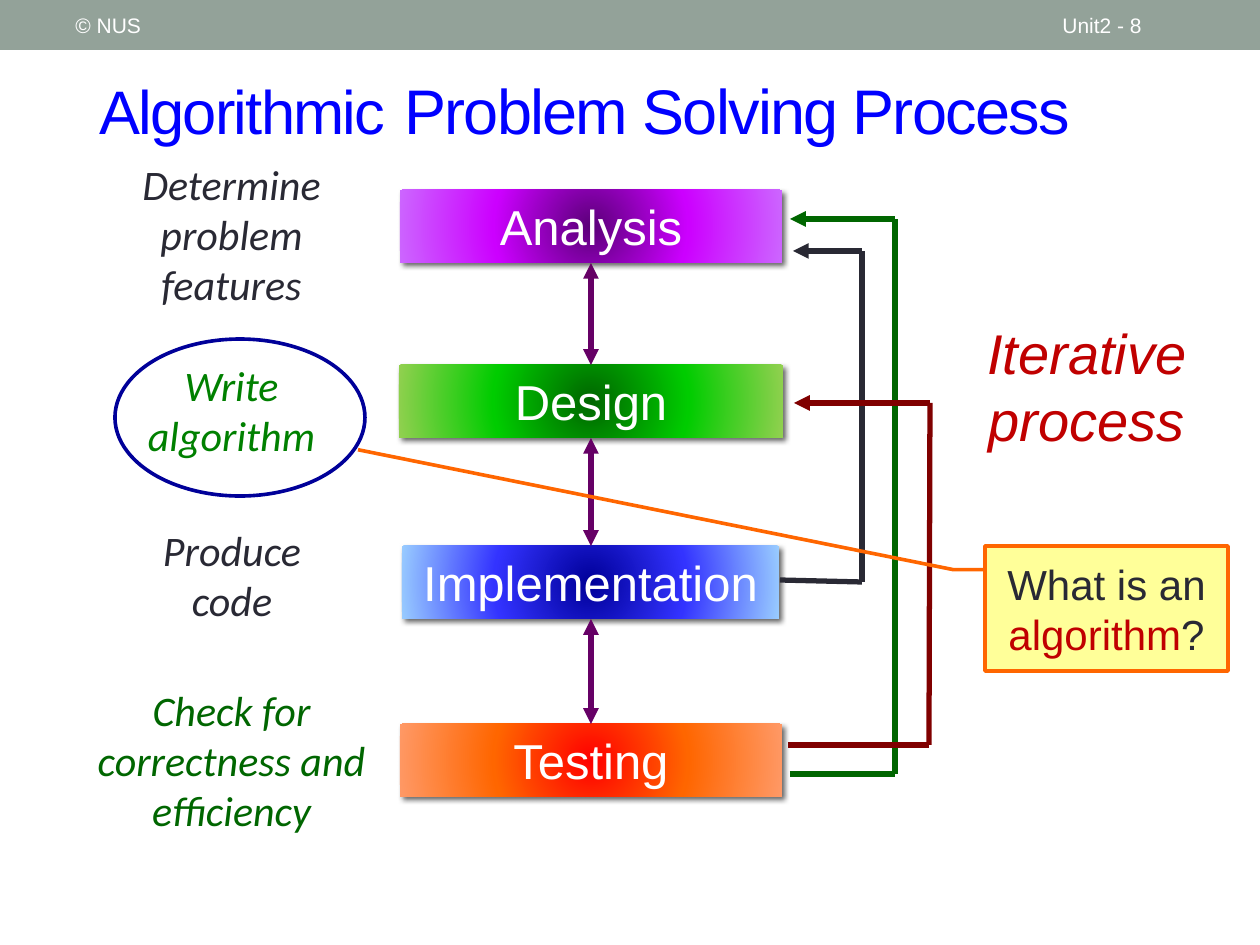
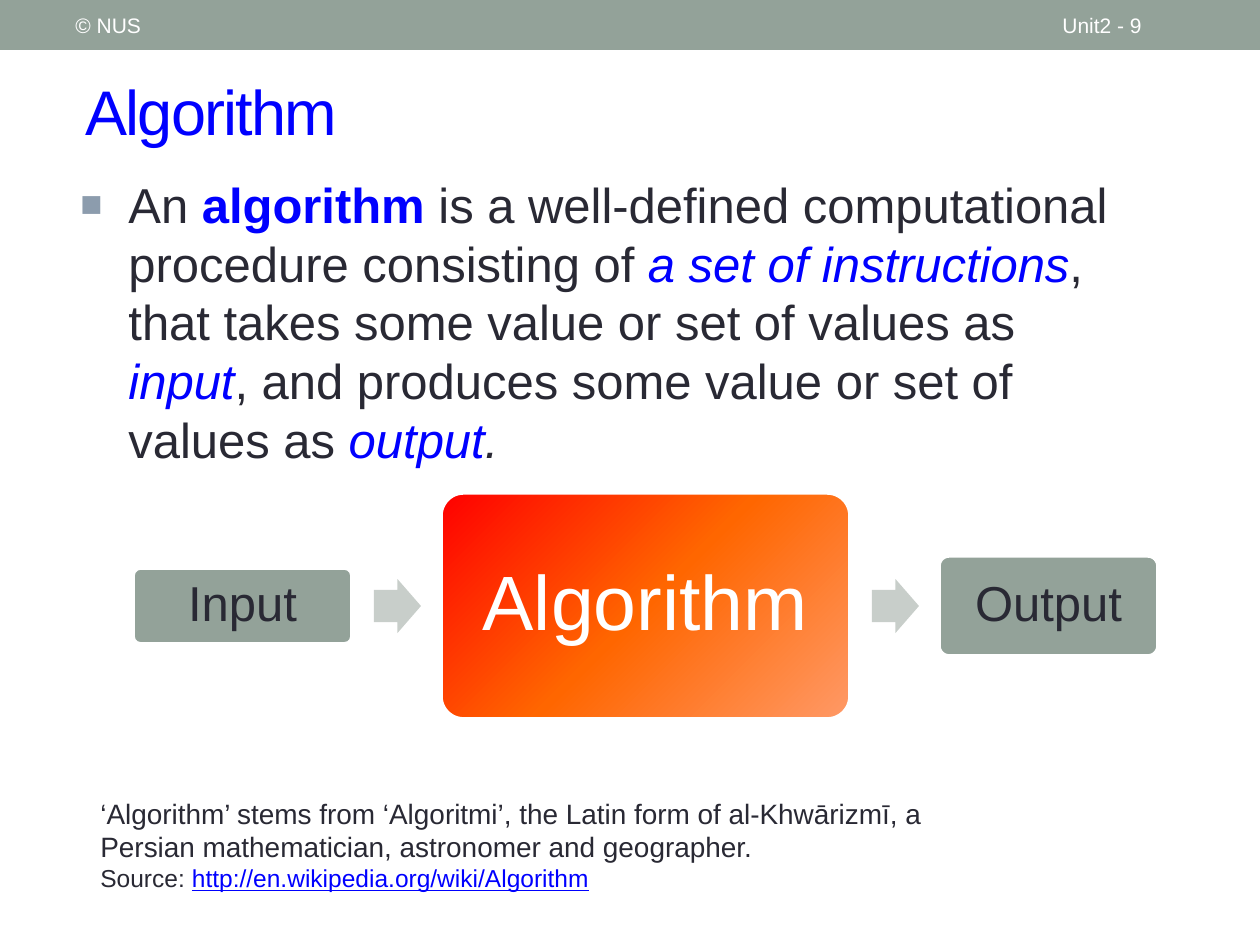
from dataclasses import dataclass
from itertools import pairwise

from lxml.etree import SubElement
from pptx import Presentation
from pptx.dml.color import RGBColor
from pptx.enum.shapes import MSO_CONNECTOR, MSO_SHAPE
from pptx.enum.text import MSO_ANCHOR, PP_ALIGN
from pptx.oxml import parse_xml
from pptx.oxml.ns import nsdecls, qn
from pptx.util import Emu, Pt

PX = 914400 / 126


@dataclass(frozen=True)
class Theme:
    band: str = "93A299"
    arrow: str = "C8CECA"
    ink: str = "292934"
    white: str = "FFFFFF"
    blue: str = "0000FF"
    navy: str = "000099"
    red: str = "C00000"
    green: str = "006600"
    leaf: str = "008000"
    maroon: str = "800000"
    purple: str = "660066"
    orange: str = "FF6600"
    yellow: str = "FFFF99"
    bullet: str = "8C9CAD"
    fire: tuple = ("FF0000", "FF6600", "FF9966")
    title: int = 36
    hero: int = 44
    large: int = 32
    body: int = 28
    note: int = 24
    footnote: int = 16
    source: int = 14
    header: int = 12
    font: str = "Arial"
    note_font: str = "Calibri"


T = Theme()


def add_box(s, at, paragraphs=(), size=T.body, kind=None, fill=None, line=None,
            align=PP_ALIGN.LEFT, anchor=MSO_ANCHOR.MIDDLE, font=T.font, spc=None):
    """Add a text box or a preset shape; a run is (text, colour, b/i/u flags)."""
    place = [Emu(round(n * PX)) for n in at]
    if kind is None:
        sp = s.shapes.add_textbox(*place)
    else:
        sp = s.shapes.add_shape(kind, *place)
        sp.shadow.inherit = False
        sp.fill.background()
        sp.line.fill.background()
    if fill:
        sp.fill.solid()
        sp.fill.fore_color.rgb = RGBColor.from_string(fill)
    if line:
        sp.line.color.rgb = RGBColor.from_string(line)
        sp.line.width = Pt(2.08)
    tf = sp.text_frame
    tf.word_wrap = True
    tf.vertical_anchor = anchor
    for i, runs in enumerate(paragraphs):
        p = tf.add_paragraph() if i else tf.paragraphs[0]
        p.alignment = align
        for text, colour, *flags in runs:
            r = p.add_run()
            r.text = text
            r.font.name = font
            r.font.size = Pt(size)
            r.font.color.rgb = RGBColor.from_string(colour)
            for flag in flags:
                setattr(r.font, flag, True)
            if spc is not None:
                r.font._element.set("spc", str(spc))
    return sp


def set_gradient(sp, colours, direction):
    """Fill a shape with three evenly spaced colours along the given direction."""
    stops = "".join(f'<a:gs pos="{i * 50000}"><a:srgbClr val="{c}"/></a:gs>'
                    for i, c in enumerate(colours))
    sp.fill.background()
    old = sp._element.spPr.find(qn("a:noFill"))
    old.getparent().replace(old, parse_xml(
        f'<a:gradFill {nsdecls("a")} rotWithShape="1"><a:gsLst>{stops}</a:gsLst>{direction}</a:gradFill>'))


FROM_CENTRE = '<a:path path="circle"><a:fillToRect l="50000" t="50000" r="50000" b="50000"/></a:path>'
DIAGONAL = '<a:lin ang="2700000" scaled="0"/>'

prs = Presentation()
prs.slide_width = Emu(round(1260 * PX))
prs.slide_height = Emu(round(945 * PX))

# Shared header band and titles
slides = []
for number, title, title_at in ((8, "Problem Solving Process", (392, 62, 771, 94)),
                                (9, "Algorithm", (73, 63, 1124, 94))):
    s = prs.slides.add_slide(prs.slide_layouts[6])
    add_box(s, (0, 0, 1260, 50), kind=MSO_SHAPE.RECTANGLE, fill=T.band)
    add_box(s, (63, 3, 399, 45), [[("© NUS", T.white)]], T.header)
    add_box(s, (1050, 3, 147, 45), [[(f"Unit2 - {number}", T.white)]], T.header)
    add_box(s, title_at, [[(title, T.blue)]], T.title, spc=-100)
    slides.append(s)
process, definition = slides

# Process: title prefix
add_box(process, (87, 63, 411, 94), [[("Algorithmic", T.blue)]], 35.1, spc=-100)

# Process: stages
STAGE_H = 73
stages = (
    ("Analysis", 400, 190, 382, ("5B0079", "CC00FF", "CC66FF")),
    ("Design", 399, 365, 384, ("006600", "00CC00", "92D050")),
    ("Implementation", 402, 546, 377, ("000099", "3333FF", "99CCFF")),
    ("Testing", 400, 724, 382, T.fire),
)
for name, left, top, width, colours in stages:
    sp = add_box(process, (left, top, width, STAGE_H), [[(name, T.white)]],
                 kind=MSO_SHAPE.RECTANGLE, align=PP_ALIGN.CENTER, anchor=MSO_ANCHOR.TOP)
    set_gradient(sp, colours, FROM_CENTRE)
    effects = sp._element.spPr.find(qn("a:effectLst"))
    effects.append(parse_xml(
        f'<a:outerShdw {nsdecls("a")} blurRad="38100" dist="25400" dir="2700000">'
        '<a:srgbClr val="000000"><a:alpha val="60000"/></a:srgbClr></a:outerShdw>'))

# Process: links between stages and feedback routes
links = [(T.purple, True, ((591, a[2] + STAGE_H), (591, b[2]))) for a, b in pairwise(stages)]
routes = [
    (T.ink, False, ((780, 580), (862, 582), (862, 251), (793, 251))),
    (T.green, False, ((790, 774), (895, 774), (895, 219), (790, 219))),
    (T.maroon, False, ((788, 745), (929, 745), (930, 403), (794, 403))),
]
for colour, both_ends, points in links + routes:
    for start, end in pairwise(points):
        c = process.shapes.add_connector(
            MSO_CONNECTOR.STRAIGHT, *[Emu(round(n * PX)) for n in start + end])
        c.line.color.rgb = RGBColor.from_string(colour)
        c.line.width = Pt(3)
        ln = c.line._get_or_add_ln()
        if both_ends:
            SubElement(ln, qn("a:headEnd"), type="triangle")
        if end == points[-1]:
            SubElement(ln, qn("a:tailEnd"), type="triangle")
        SubElement(c._element.spPr, qn("a:effectLst"))

# Process: notes beside the stages
notes = (
    ("Determine problem features", T.ink, (79, 152, 305, 165)),
    ("Write algorithm", T.leaf, (84, 353, 295, 115)),
    ("Produce code", T.ink, (115, 518, 234, 115)),
    ("Check for correctness and efficiency", T.green, (57, 678, 349, 165)),
)
for text, colour, at in notes:
    add_box(process, at, [[(text, colour, "italic")]], T.note, align=PP_ALIGN.CENTER,
            anchor=MSO_ANCHOR.TOP, font=T.note_font)
add_box(process, (945, 312, 284, 149), [[("Iterative process", T.red, "italic")]], T.large,
        align=PP_ALIGN.CENTER, anchor=MSO_ANCHOR.TOP)

# Process: highlighted step and its callout
add_box(process, (115, 339, 250, 157), kind=MSO_SHAPE.OVAL, line=T.navy)
callout = add_box(process, (985, 546, 243, 125),
                  [[("What is an ", T.ink), ("algorithm", T.red), ("?", T.ink)]], T.note,
                  kind=MSO_SHAPE.LINE_CALLOUT_2, fill=T.yellow, line=T.orange,
                  align=PP_ALIGN.CENTER)
for i, value in enumerate((0.19, 0, 0.19, -0.13, -0.77, -2.58)):
    callout.adjustments[i] = value

# Definition: bulleted statement
statement = add_box(definition, (68, 168, 1087, 336), [[
    ("An ", T.ink), ("algorithm", T.blue, "bold"),
    (" is a well-defined computational procedure consisting of ", T.ink),
    ("a set of instructions", T.blue, "italic"),
    (", that takes some value or set of values as ", T.ink), ("input", T.blue, "italic"),
    (", and produces some value or set of values as ", T.ink),
    ("output", T.blue, "italic"), (".", T.ink, "italic"),
]], anchor=MSO_ANCHOR.TOP)
pPr = statement.text_frame.paragraphs[0]._p.get_or_add_pPr()
pPr.set("marL", str(round(48 * PX)))
pPr.set("indent", str(round(-48 * PX)))
SubElement(SubElement(pPr, qn("a:buClr")), qn("a:srgbClr"), val=T.bullet)
SubElement(pPr, qn("a:buSzPct"), val="75000")
SubElement(pPr, qn("a:buFont"), typeface=T.font)
SubElement(pPr, qn("a:buChar"), char="■")

# Definition: input, algorithm, output, centred on one axis
AXIS = 606
for name, left, width, height, size, colour in (
        ("Input", 133, 219, 76, T.body, T.ink),
        ("Algorithm", 441, 409, 226, T.hero, T.white),
        ("Output", 939, 219, 100, T.body, T.ink)):
    sp = add_box(definition, (left, AXIS - height // 2, width, height), [[(name, colour)]], size,
                 kind=MSO_SHAPE.ROUNDED_RECTANGLE, fill=T.band, line=T.white,
                 align=PP_ALIGN.CENTER)
    sp.adjustments[0] = 0.1
    sp.text_frame.paragraphs[0].line_spacing = 0.9
    if name == "Algorithm":
        set_gradient(sp, T.fire, DIAGONAL)
for left in (374, 872):
    sp = add_box(definition, (left, AXIS - 27, 47, 54), kind=MSO_SHAPE.RIGHT_ARROW, fill=T.arrow)
    sp.adjustments[0] = 0.6

# Definition: origin of the word
origin = add_box(definition, (88, 790, 859, 111), [
    [("‘Algorithm’ stems from ‘Algoritmi’, the Latin form of al-Khwārizmī, a Persian mathematician, "
      "astronomer and geographer.", T.ink)],
    [("Source: ", T.ink), ("http://en.wikipedia.org/wiki/Algorithm", T.blue, "underline")],
], T.footnote, anchor=MSO_ANCHOR.TOP)
for r in origin.text_frame.paragraphs[1].runs:
    r.font.size = Pt(T.source)

prs.save("out.pptx")
